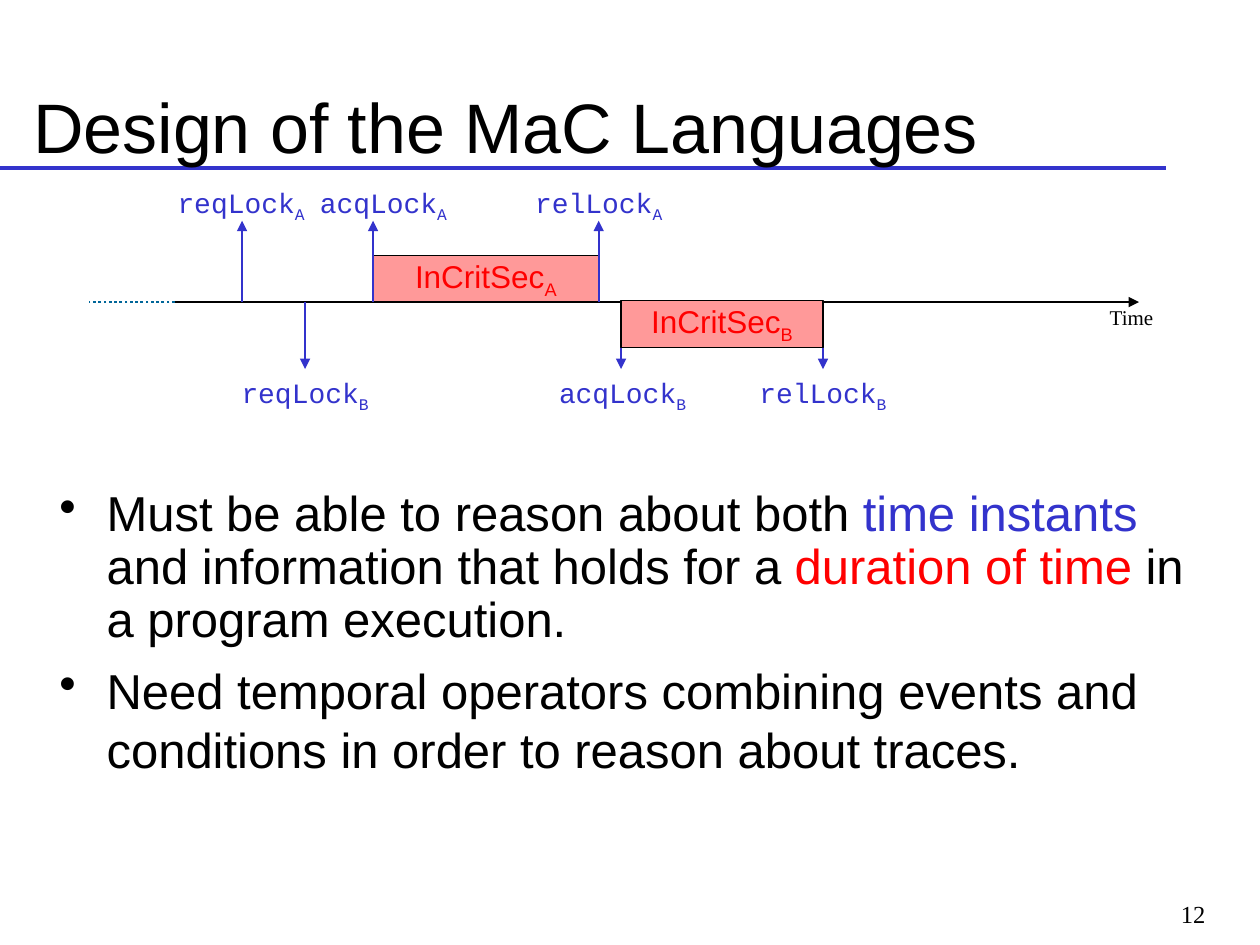
import pptx
import pptx.dml.color
import pptx.enum.dml
import pptx.enum.shapes
import pptx.enum.text
import pptx.oxml
import pptx.oxml.ns
import pptx.util
from pptx.util import Cm

BLACK, BLUE, RED, PINK, TEAL = "000000", "3333CC", "FF0000", "FF9999", "006699"
ALIGN = pptx.enum.text.PP_ALIGN
MIDDLE = pptx.enum.text.MSO_ANCHOR.MIDDLE

AXIS_Y = 6.09
BAR_HEIGHT = 0.94
LABEL_SIZE = (3.07, 1.04)
# Per process: arrow tip, label top, and (event, arrow x, label left)
EVENTS = {
    "A": (4.45, 3.61, [("reqLock", 4.88, 3.33), ("acqLock", 7.52, 6.2),
                       ("relLock", 12.07, 10.54)]),
    "B": (7.44, 7.44, [("reqLock", 6.15, 4.62), ("acqLock", 12.52, 11.02),
                       ("relLock", 16.59, 15.06)]),
}
BULLETS = [
    [("Must be able to reason about both ", BLACK), ("time instants", BLUE),
     (" and information that holds for a ", BLACK), ("duration of time", RED),
     (" in a program execution.", BLACK)],
    [("Need temporal operators combining events and conditions in order "
      "to reason about traces.", BLACK)],
]


def rgb(color):
    return pptx.dml.color.RGBColor.from_string(color)


def style(font, size, name, color):
    font.size = pptx.util.Pt(size)
    font.name = name
    font.color.rgb = rgb(color)


def add_text(shapes, text, place, size, name, color=BLACK, align=ALIGN.LEFT,
             anchor=None, wrap=True):
    box = shapes.add_textbox(*map(Cm, place))
    frame = box.text_frame
    frame.text = text
    frame.word_wrap = wrap
    frame.vertical_anchor = anchor
    para = frame.paragraphs[0]
    para.alignment = align
    style(para.runs[0].font, size, name, color)
    return box


def add_subscript(para, letter, size, name, color):
    span = para.add_run()
    span.text = letter
    style(span.font, size, name, color)
    span._r.get_or_add_rPr().set("baseline", "-25000")


def add_line(shapes, start, end, color, width, arrow=False, dash=None):
    line = shapes.add_connector(pptx.enum.shapes.MSO_CONNECTOR.STRAIGHT,
                                *map(Cm, start + end))
    line.line.color.rgb = rgb(color)
    line.line.width = pptx.util.Pt(width)
    if dash:
        line.line.dash_style = dash
    if arrow:
        tail = pptx.oxml.parse_xml(
            f'<a:tailEnd {pptx.oxml.ns.nsdecls("a")} type="triangle"/>')
        line.line._get_or_add_ln().append(tail)
    line._element.spPr.append(
        pptx.oxml.parse_xml(f'<a:effectLst {pptx.oxml.ns.nsdecls("a")}/>'))


def add_event(page, process, name, x, label_left):
    """Arrow from the time axis with the event's name at its tip."""
    tip, label_top, _ = EVENTS[process]
    shapes = page.shapes.add_group_shape().shapes
    add_line(shapes, (x, AXIS_Y), (x, tip), BLUE, 1, arrow=True)
    font = (16, "Courier New", BLUE)
    box = add_text(shapes, name, (label_left, label_top) + LABEL_SIZE, *font,
                   wrap=False)
    add_subscript(box.text_frame.paragraphs[0], process, *font)


def add_critical_section(page, process, top):
    """Bar lasting from the process's acquire to its release."""
    _, (_, left, _), (_, right, _) = EVENTS[process][2]
    bar = page.shapes.add_shape(
        pptx.enum.shapes.MSO_SHAPE.RECTANGLE,
        *map(Cm, (left, top, right - left, BAR_HEIGHT)))
    bar.shadow.inherit = False
    bar.fill.solid()
    bar.fill.fore_color.rgb = rgb(PINK)
    bar.line.color.rgb = rgb(BLACK)
    bar.line.width = pptx.util.Pt(0.75)
    frame = bar.text_frame
    frame.text = "InCritSec"
    frame.word_wrap = False
    frame.vertical_anchor = MIDDLE
    para = frame.paragraphs[0]
    para.alignment = ALIGN.CENTER
    font = (18, "Arial", RED)
    style(para.runs[0].font, *font)
    add_subscript(para, process, *font)


def add_bullets(page, place):
    frame = page.shapes.add_textbox(*map(Cm, place)).text_frame
    frame.word_wrap = True
    for index, spans in enumerate(BULLETS):
        para = frame.add_paragraph() if index else frame.paragraphs[0]
        properties = para._p.get_or_add_pPr()
        properties.set("marL", str(Cm(0.95)))
        properties.set("indent", str(Cm(-0.95)))
        properties.append(pptx.oxml.parse_xml(
            f'<a:buChar {pptx.oxml.ns.nsdecls("a")} char="•"/>'))
        if index:
            para.space_before = pptx.util.Pt(7)
        else:
            para.line_spacing = 0.9
        for text, color in spans:
            span = para.add_run()
            span.text = text
            style(span.font, 28, "Arial", color)


def add_timeline(page):
    axis_left = 3.52
    add_line(page.shapes, (axis_left, AXIS_Y), (22.96, AXIS_Y), BLACK, 1.5, arrow=True)
    add_line(page.shapes, (axis_left, AXIS_Y), (1.8, AXIS_Y), TEAL, 1.5,
             dash=pptx.enum.dml.MSO_LINE.ROUND_DOT)
    add_text(page.shapes, "Time", (22.1, 6.02, 1.4, 0.76), 12, "Times New Roman",
             align=ALIGN.RIGHT, wrap=False)
    add_critical_section(page, "A", AXIS_Y - BAR_HEIGHT)
    for process, (_, _, events) in EVENTS.items():
        for event in events:
            add_event(page, process, *event)
    add_critical_section(page, "B", AXIS_Y - 0.03)


def main():
    deck = pptx.Presentation()
    deck.slide_width, deck.slide_height = Cm(25.4), Cm(19.05)
    page = deck.slides.add_slide(deck.slide_layouts[6])
    add_line(page.shapes, (0, 3.39), (23.5, 3.39), BLUE, 2)
    add_text(page.shapes, "12", (18.2, 17.78, 6.35, 1.27), 14, "Times New Roman",
             align=ALIGN.RIGHT, anchor=MIDDLE)
    add_text(page.shapes, "Design of the MaC Languages", (0.42, 1.48, 24.13, 2.12),
             40, "Arial", anchor=MIDDLE)
    add_bullets(page, (0.95, 9.74, 23.5, 8.68))
    add_timeline(page)
    deck.save("out.pptx")


if __name__ == "__main__":
    main()
